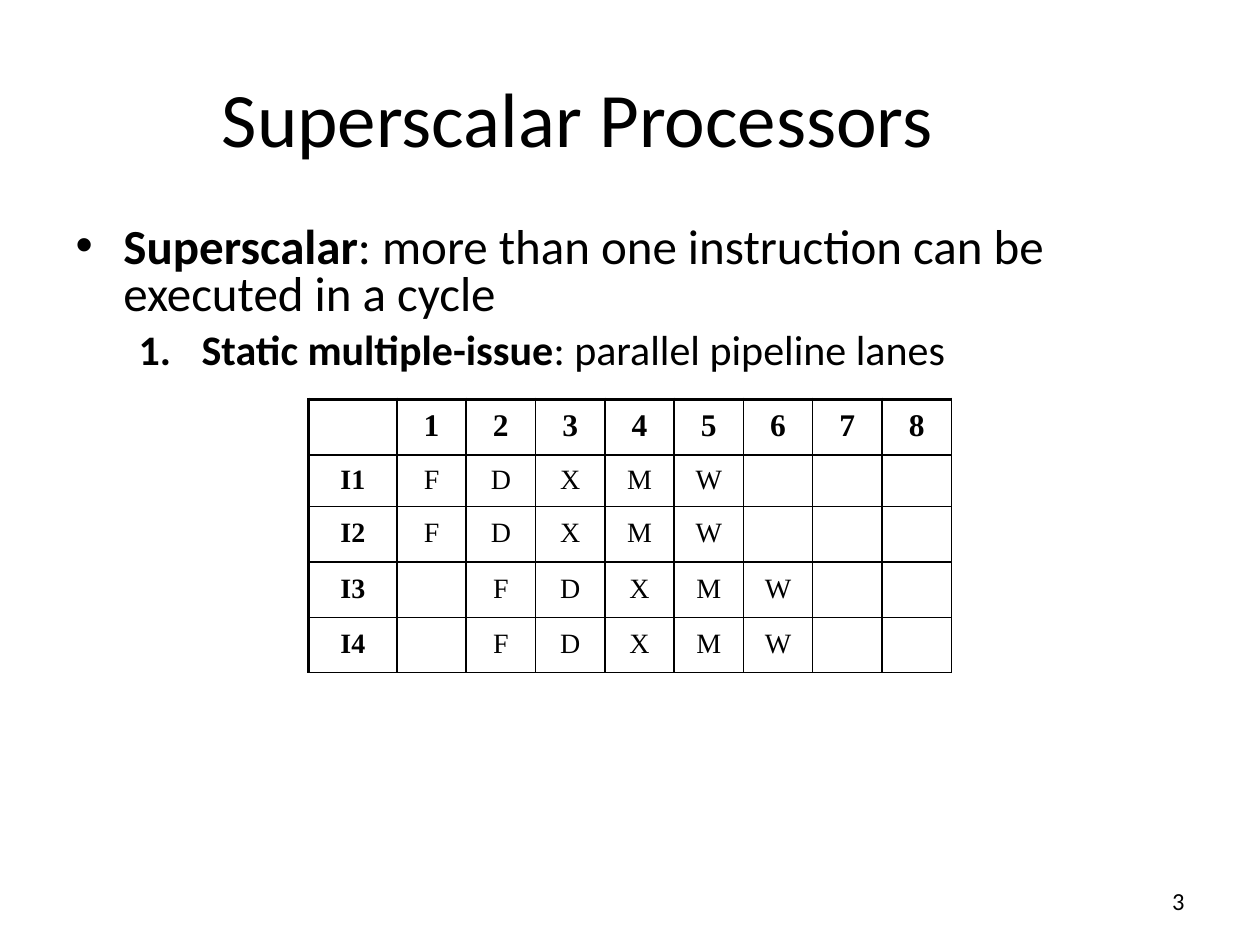
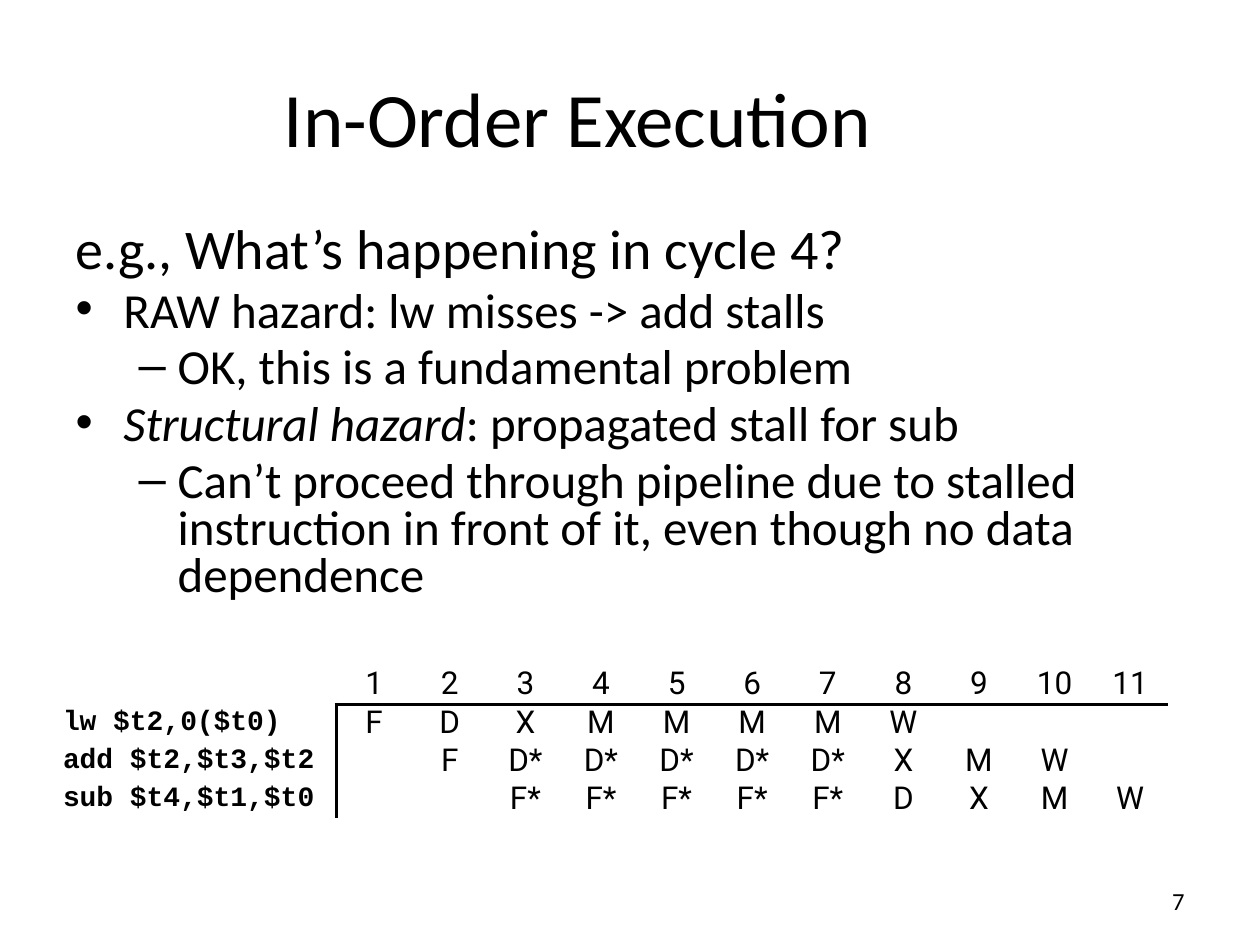
from lxml import etree
from pptx import Presentation
from pptx.dml.color import RGBColor as Rgb
from pptx.enum.text import MSO_ANCHOR as Anchor, MSO_AUTO_SIZE as Fit, PP_ALIGN as Align
from pptx.oxml.ns import qn
from pptx.util import Inches, Pt

# Shared style
INK, PAPER = "000000", "FFFFFF"
SANS, SERIF, MONO, GRID = "Calibri", "Times New Roman", "Courier New", "Roboto"
THIN, THICK = 1, 2.25
TITLE = (0.5, 0.3, 8.17, 1.25)
FOOT = (8.33, 6.95, 1.17, 0.4)

# List styles: level, left margin, indent, bullet tag, bullet attribute, bullet value
PLAIN = (0, 0, 0, "a:buNone", None, None)
DOT = (0, 0.38, -0.38, "a:buChar", "char", "•")
DASH = (1, 0.81, -0.31, "a:buChar", "char", "–")
COUNT = (1, 1, -0.5, "a:buAutoNum", "type", "arabicPeriod")


def tint(code):
    return Rgb.from_string(code)


def style(run, size, face=SANS, bold=False, slant=False):
    font = run.font
    font.size, font.name = Pt(size), face
    font.bold, font.italic = bold, slant
    font.color.rgb = tint(INK)


def place(shape, box):
    shape.left, shape.top, shape.width, shape.height = map(Inches, box)


def add_title(slide, text):
    shape = slide.shapes.title
    place(shape, TITLE)
    frame = shape.text_frame
    frame.text = text
    frame.auto_size = Fit.NONE
    frame.vertical_anchor = Anchor.MIDDLE
    para = frame.paragraphs[0]
    para.alignment = Align.CENTER
    style(para.runs[0], 44)


def add_foot(slide, num):
    shape = slide.shapes.add_textbox(*map(Inches, FOOT))
    frame = shape.text_frame
    frame.word_wrap = True
    frame.text = num
    frame.vertical_anchor = Anchor.MIDDLE
    para = frame.paragraphs[0]
    para.alignment = Align.RIGHT
    style(para.runs[0], 14)


def set_list(para, kind):
    level, left, dent, tag, attr, value = kind
    para.level = level
    props = para._p.get_or_add_pPr()
    props.set("marL", str(Inches(left)))
    props.set("indent", str(Inches(dent)))
    mark = etree.SubElement(props, qn(tag))
    if attr:
        mark.set(attr, value)


def add_body(slide, box, lines):
    """Each line is (list style, size, line spacing, [(text, look), ...])."""
    shape = slide.placeholders[1]
    place(shape, box)
    frame = shape.text_frame
    frame.auto_size = Fit.NONE
    frame.vertical_anchor = Anchor.TOP
    for i, (kind, size, gap, parts) in enumerate(lines):
        para = frame.add_paragraph() if i else frame.paragraphs[0]
        set_list(para, kind)
        para.line_spacing = gap
        para.space_before = Pt(0.2 * size if i else 0)
        for text, look in parts:
            run = para.add_run()
            run.text = text
            style(run, size, bold=look == "b", slant=look == "i")


def set_edges(cell, edges):
    """Draw the left, right, top and bottom edges; width 0 hides one."""
    props = cell._tc.get_or_add_tcPr()
    for i, (side, width) in enumerate(zip("LRTB", edges)):
        line = etree.Element(qn("a:ln" + side), w=str(Pt(width)))
        if width:
            fill = etree.SubElement(line, qn("a:solidFill"))
            etree.SubElement(fill, qn("a:srgbClr"), val=INK)
        else:
            etree.SubElement(line, qn("a:noFill"))
        props.insert(i, line)


def add_table(slide, spot, cols, rows, data, pad, paint):
    """Fill a table; paint formats each cell by its row and column."""
    box = (*spot, sum(cols), sum(rows))
    shape = slide.shapes.add_table(len(rows), len(cols), *map(Inches, box))
    table = shape.table
    table.first_row = table.horz_banding = False
    for col, width in zip(table.columns, cols):
        col.width = Inches(width)
    for row, high in zip(table.rows, rows):
        row.height = Inches(high)
    for r, line in enumerate(data):
        for c, text in enumerate(line):
            cell = table.cell(r, c)
            cell.margin_left = cell.margin_right = Inches(pad[0])
            cell.margin_top = cell.margin_bottom = Inches(pad[1])
            cell.vertical_anchor = Anchor.MIDDLE
            para = cell.text_frame.paragraphs[0]
            para.alignment = Align.CENTER
            para.text = text
            paint(cell, para, r, c)


def lanes(last, *lines):
    """Build a cycle header and one row per (name, first cycle, stages)."""
    data = [["", *map(str, range(1, last + 1))]]
    for name, start, stages in lines:
        row = [""] * (start - 1) + stages.split()
        data.append([name, *row, *[""] * (last - len(row))])
    return data


def paint_issue(cell, para, r, c):
    cell.fill.solid()
    cell.fill.fore_color.rgb = tint(PAPER)
    set_edges(cell, (THIN if c else THICK, THIN, THIN if r else THICK, THIN))
    para.line_spacing = 0.9
    for run in para.runs:
        style(run, 16 if r else 18, SERIF, bold=r == 0 or c == 0)


def paint_stall(cell, para, r, c):
    cell.fill.background()
    set_edges(cell, (THICK * (r > 0 and c == 1), THICK * (r > 0 and c == 0),
                     THICK * (r == 1 and c > 0), THICK * (r == 0 and c > 0)))
    if c == 0:
        para.alignment = Align.LEFT
    for run in para.runs:
        if c:
            style(run, 18, GRID)
        else:
            style(run, 16, MONO, bold=True)


def new_slide(deck, title, num):
    slide = deck.slides.add_slide(deck.slide_layouts[1])
    add_title(slide, title)
    add_foot(slide, num)
    return slide


def superscalar(deck):
    slide = new_slide(deck, "Superscalar Processors", "3")
    add_body(slide, (0.5, 1.75, 9, 4.95), [
        (DOT, 28, 0.8, [("Superscalar", "b"),
                        (": more than one instruction can be executed in a cycle", "")]),
        (COUNT, 24, 0.9, [("Static multiple-issue", "b"),
                          (": parallel pipeline lanes", "")]),
    ])
    # Two instructions start in each cycle
    data = lanes(8, *[(f"I{i + 1}", i // 2 + 1, "F D X M W") for i in range(4)])
    add_table(slide, (2.45, 3.17), [0.7] + [0.55] * 8,
              [0.44, 0.41] + [0.44] * 3, data, (0.1, 0.05), paint_issue)


def in_order(deck):
    slide = new_slide(deck, "In-Order Execution", "7")
    add_body(slide, (0.5, 1.75, 9, 4.58), [
        (PLAIN, 32, 0.8, [("e.g., What’s happening in cycle 4?", "")]),
        (DOT, 28, 0.8, [("RAW hazard: lw misses -> add stalls", "")]),
        (DASH, 28, 0.8, [("OK, this is a fundamental problem", "")]),
        (DOT, 28, 0.8, [("Structural hazard", "i"), (": propagated stall for sub", "")]),
        (DASH, 28, 0.8, [("Can’t proceed through pipeline due to stalled instruction "
                          "in front of it, even though no data dependence", "")]),
    ])
    # Stalled stages carry a star
    data = lanes(11, ("lw $t2,0($t0)", 1, "F D X M M M M W"),
                 ("add $t2,$t3,$t2", 2, "F D* D* D* D* D* X M W"),
                 ("sub $t4,$t1,$t0", 3, "F* F* F* F* F* D X M W"))
    add_table(slide, (0.5, 5.26), [2.17] + [0.6] * 11,
              [0.33] + [0.3] * 3, data, (0, 0), paint_stall)


def main():
    deck = Presentation()
    deck.slide_width, deck.slide_height = Inches(10), Inches(7.5)
    superscalar(deck)
    in_order(deck)
    deck.save("out.pptx")


if __name__ == "__main__":
    main()
